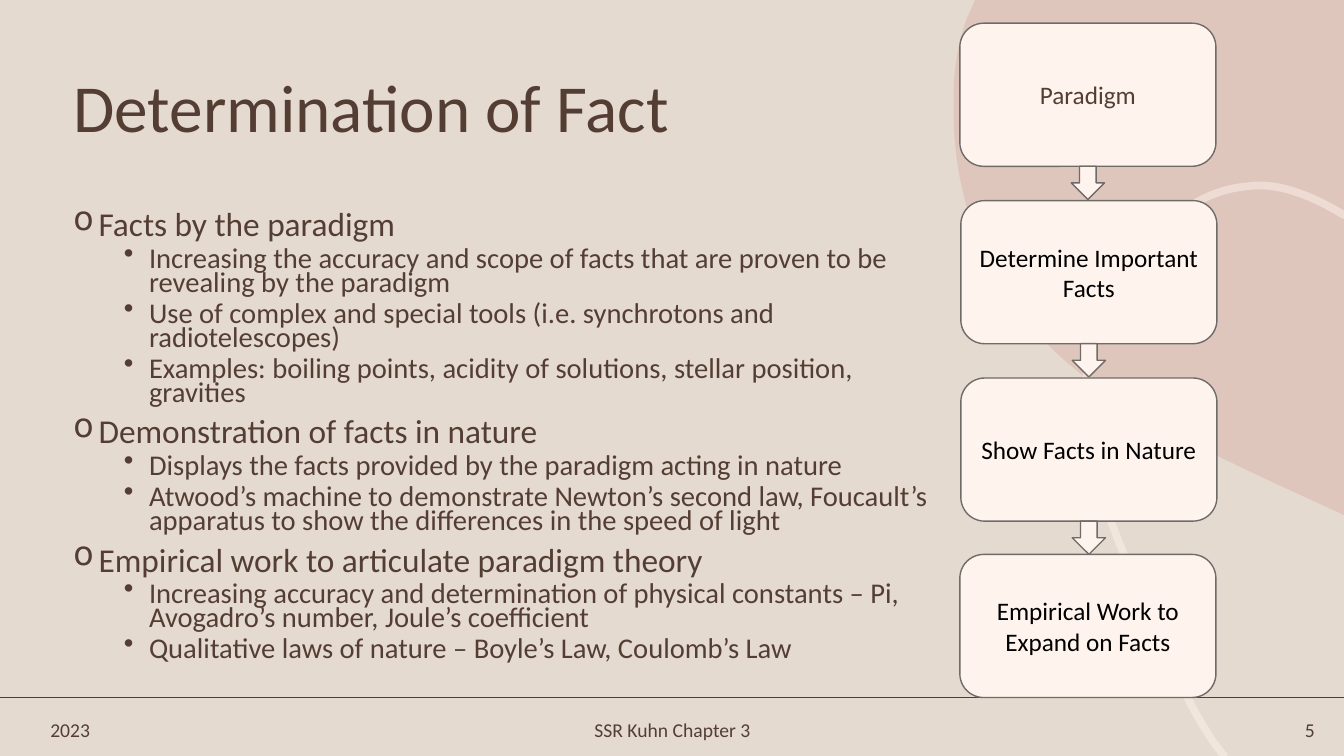
import dataclasses
import typing

import lxml.etree
import pptx
import pptx.dml.color
import pptx.enum.shapes
import pptx.enum.text
import pptx.oxml.ns
import pptx.util

RGBColor = pptx.dml.color.RGBColor
Align = pptx.enum.text.PP_ALIGN
Anchor = pptx.enum.text.MSO_ANCHOR
Preset = pptx.enum.shapes.MSO_SHAPE

SAND = RGBColor(0xE5, 0xDA, 0xCF)
BROWN = RGBColor(0x54, 0x3E, 0x34)
ROSE = RGBColor(0xCF, 0x9B, 0x92)
CREAM = RGBColor(0xFE, 0xF3, 0xED)
GREY = RGBColor(0x6F, 0x6B, 0x68)
BLACK = RGBColor(0, 0, 0)

FONT = "Calibri"
EMU_PER_PX = 9144
SLIDE_W, SLIDE_H = 1333, 750
FOOTER_RULE_Y = 692
STEP_W, STEP_H = 254, 142
ARROW_SIZE = 33

Point = tuple[int, int]
Box = tuple[int, int, int, int]


@dataclasses.dataclass(frozen=True)
class Outline:
    box: Box
    edge: tuple[Point, ...]
    curves: tuple[tuple[Point, Point, Point], ...]
    closed: bool


@dataclasses.dataclass(frozen=True)
class Label:
    text: str
    box: Box
    size: float
    align: Align = Align.LEFT
    anchor: Anchor = Anchor.MIDDLE
    line_spacing: float = 1.0


@dataclasses.dataclass(frozen=True)
class Topic:
    heading: str
    details: tuple[str, ...]


@dataclasses.dataclass(frozen=True)
class Level:
    bullet: str
    size: float
    space_before: int
    margin: int


@dataclasses.dataclass(frozen=True)
class Step:
    left: int
    top: int
    text: str = ""


BLOB = Outline(
    (946, 0, 388, 511),
    ((967, 0), (1333, 0), (1333, 511), (1307, 499)),
    (((1136, 421), (1032, 369), (978, 255)),
     ((948, 193), (945, 135), (946, 101)),
     ((945, 79), (948, 49), (959, 18))),
    True,
)
SWIRL = Outline(
    (1077, 184, 258, 567),
    ((1215, 751),),
    (((1198, 731), (1179, 699), (1156, 645)),
     ((1094, 507), (1058, 424), (1086, 332)),
     ((1101, 285), (1127, 253), (1144, 235)),
     ((1161, 217), (1192, 189), (1236, 185)),
     ((1241, 184), (1247, 184), (1252, 184)),
     ((1279, 185), (1308, 198), (1334, 214))),
    False,
)
LABELS = (
    Label("Determination of Fact", (63, 9, 1024, 142), 48, anchor=Anchor.BOTTOM, line_spacing=0.9),
    Label("2023", (40, 707, 108, 34), 14),
    Label("SSR Kuhn Chapter 3", (479, 707, 376, 34), 14, Align.CENTER),
    Label("5", (1206, 707, 108, 34), 14, Align.RIGHT),
    Label("Paradigm", (1002, 74, 154, 40), 18, Align.CENTER, Anchor.TOP),
)
TOPICS = (
    Topic("Facts by the paradigm", (
        "Increasing the accuracy and scope of facts that are proven to be revealing by the paradigm",
        "Use of complex and special tools (i.e. synchrotons and radiotelescopes)",
        "Examples: boiling points, acidity of solutions, stellar position, gravities",
    )),
    Topic("Demonstration of facts in nature", (
        "Displays the facts provided by the paradigm acting in nature",
        "Atwood’s machine to demonstrate Newton’s second law, Foucault’s apparatus to show "
        "the differences in the speed of light",
    )),
    Topic("Empirical work to articulate paradigm theory", (
        "Increasing accuracy and determination of physical constants – Pi, Avogadro’s number, "
        "Joule’s coefficient",
        "Qualitative laws of nature – Boyle’s Law, Coulomb’s Law",
    )),
)
LEVELS = (Level("o", 23.8, 10, 25), Level("•", 20.4, 5, 75))
STEPS = (
    Step(952, 23),
    Step(953, 199, "Determine Important Facts"),
    Step(953, 375, "Show Facts in Nature"),
    Step(952, 550, "Empirical Work to Expand on Facts"),
)


def px(value: float) -> int:
    """Turn px into EMU."""
    return round(value * EMU_PER_PX)


def apply_format(target: typing.Any, values: dict[str, typing.Any]) -> None:
    """Set each named format value on the target."""
    for name, value in values.items():
        setattr(target, name, value)


def add_xml(parent: typing.Any, tag: str, **attributes: str) -> typing.Any:
    """Append a drawing element to the parent."""
    return lxml.etree.SubElement(parent, pptx.oxml.ns.qn(tag), **attributes)


def write(paragraph: typing.Any, text: str, size: float, color: RGBColor = BROWN) -> None:
    """Add a run in the slide font."""
    run = paragraph.add_run()
    run.text = text
    apply_format(run.font, {"name": FONT, "size": pptx.util.Pt(size)})
    run.font.color.rgb = color


def set_alpha(shape: typing.Any, percent: int) -> None:
    """Make the first solid colour of a shape translucent."""
    color = shape._element.spPr.find(".//" + pptx.oxml.ns.qn("a:srgbClr"))
    add_xml(color, "a:alpha", val=str(percent * 1000))


def add_outline(shapes: typing.Any, outline: Outline) -> typing.Any:
    """Draw a freeform of straight edges followed by Bézier curves."""
    left, top, width, height = outline.box
    builder = shapes.build_freeform(px(left), px(top))
    builder.add_line_segments([(px(left + width), px(top + height))], close=False)
    shape = builder.convert_to_shape()
    shape.shadow.inherit = False
    route = shape._element.spPr.find(".//" + pptx.oxml.ns.qn("a:path"))
    for segment in list(route):
        route.remove(segment)
    segments = [("a:lnTo" if index else "a:moveTo", (point,)) for index, point in enumerate(outline.edge)]
    segments += [("a:cubicBezTo", curve) for curve in outline.curves]
    for tag, points in segments:
        segment = add_xml(route, tag)
        for x, y in points:
            add_xml(segment, "a:pt", x=str(px(x - left)), y=str(px(y - top)))
    if outline.closed:
        add_xml(route, "a:close")
    return shape


def add_backdrop(shapes: typing.Any) -> None:
    """Draw the footer rule, the rose blob and the pale swirl."""
    rule = shapes.add_connector(
        pptx.enum.shapes.MSO_CONNECTOR.STRAIGHT, 0, px(FOOTER_RULE_Y), px(SLIDE_W), px(FOOTER_RULE_Y))
    rule.line.color.rgb = BROWN
    rule.line.width = pptx.util.Pt(1.25)
    add_xml(rule._element.spPr, "a:effectLst")

    blob = add_outline(shapes, BLOB)
    blob.fill.solid()
    blob.fill.fore_color.rgb = ROSE
    blob.line.fill.background()
    set_alpha(blob, 30)

    swirl = add_outline(shapes, SWIRL)
    swirl.fill.background()
    swirl.line.color.rgb = CREAM
    swirl.line.width = pptx.util.Pt(5.5)
    set_alpha(swirl, 50)


def add_label(shapes: typing.Any, label: Label) -> None:
    """Add a single line of text."""
    frame = shapes.add_textbox(*map(px, label.box)).text_frame
    apply_format(frame, {"word_wrap": True, "vertical_anchor": label.anchor})
    paragraph = frame.paragraphs[0]
    apply_format(paragraph, {"alignment": label.align, "line_spacing": label.line_spacing})
    write(paragraph, label.text, label.size)


def add_topics(shapes: typing.Any) -> None:
    """Add the two-level bullet list."""
    frame = shapes.add_textbox(px(63), px(208), px(873), px(424)).text_frame
    frame.word_wrap = True
    items = [(depth, text) for topic in TOPICS
             for depth, text in ((0, topic.heading), *((1, detail) for detail in topic.details))]
    for index, (depth, text) in enumerate(items):
        level = LEVELS[depth]
        paragraph = frame.add_paragraph() if index else frame.paragraphs[0]
        apply_format(paragraph, {
            "level": depth, "line_spacing": 0.7, "space_before": pptx.util.Pt(level.space_before)})
        write(paragraph, text, level.size)
        properties = paragraph._p.get_or_add_pPr()
        properties.set("marL", str(px(level.margin)))
        properties.set("indent", str(px(-25)))
        add_xml(properties, "a:buChar", char=level.bullet)


def add_block(shapes: typing.Any, preset: Preset, left: float, top: int, width: int, height: int) -> typing.Any:
    """Draw a cream shape with a grey outline."""
    block = shapes.add_shape(preset, px(left), px(top), px(width), px(height))
    block.shadow.inherit = False
    block.fill.solid()
    block.fill.fore_color.rgb = CREAM
    block.line.color.rgb = GREY
    block.line.width = pptx.util.Pt(1)
    return block


def add_steps(shapes: typing.Any) -> None:
    """Draw the column of steps with an arrow between each pair."""
    for step in STEPS:
        block = add_block(shapes, Preset.ROUNDED_RECTANGLE, step.left, step.top, STEP_W, STEP_H)
        if step.text:
            apply_format(block.text_frame, {"word_wrap": True, "vertical_anchor": Anchor.MIDDLE})
            paragraph = block.text_frame.paragraphs[0]
            paragraph.alignment = Align.CENTER
            write(paragraph, step.text, 18, BLACK)
    for step in STEPS[:-1]:
        arrow_left = step.left + (STEP_W - ARROW_SIZE) / 2
        add_block(shapes, Preset.DOWN_ARROW, arrow_left, step.top + STEP_H, ARROW_SIZE, ARROW_SIZE)


def main() -> None:
    """Build the slide and save it."""
    deck = pptx.Presentation()
    apply_format(deck, {"slide_width": px(SLIDE_W), "slide_height": px(SLIDE_H)})
    slide = deck.slides.add_slide(deck.slide_layouts[6])
    slide.background.fill.solid()
    slide.background.fill.fore_color.rgb = SAND
    add_backdrop(slide.shapes)
    add_topics(slide.shapes)
    add_steps(slide.shapes)
    for label in LABELS:
        add_label(slide.shapes, label)
    deck.save("out.pptx")


if __name__ == "__main__":
    main()
